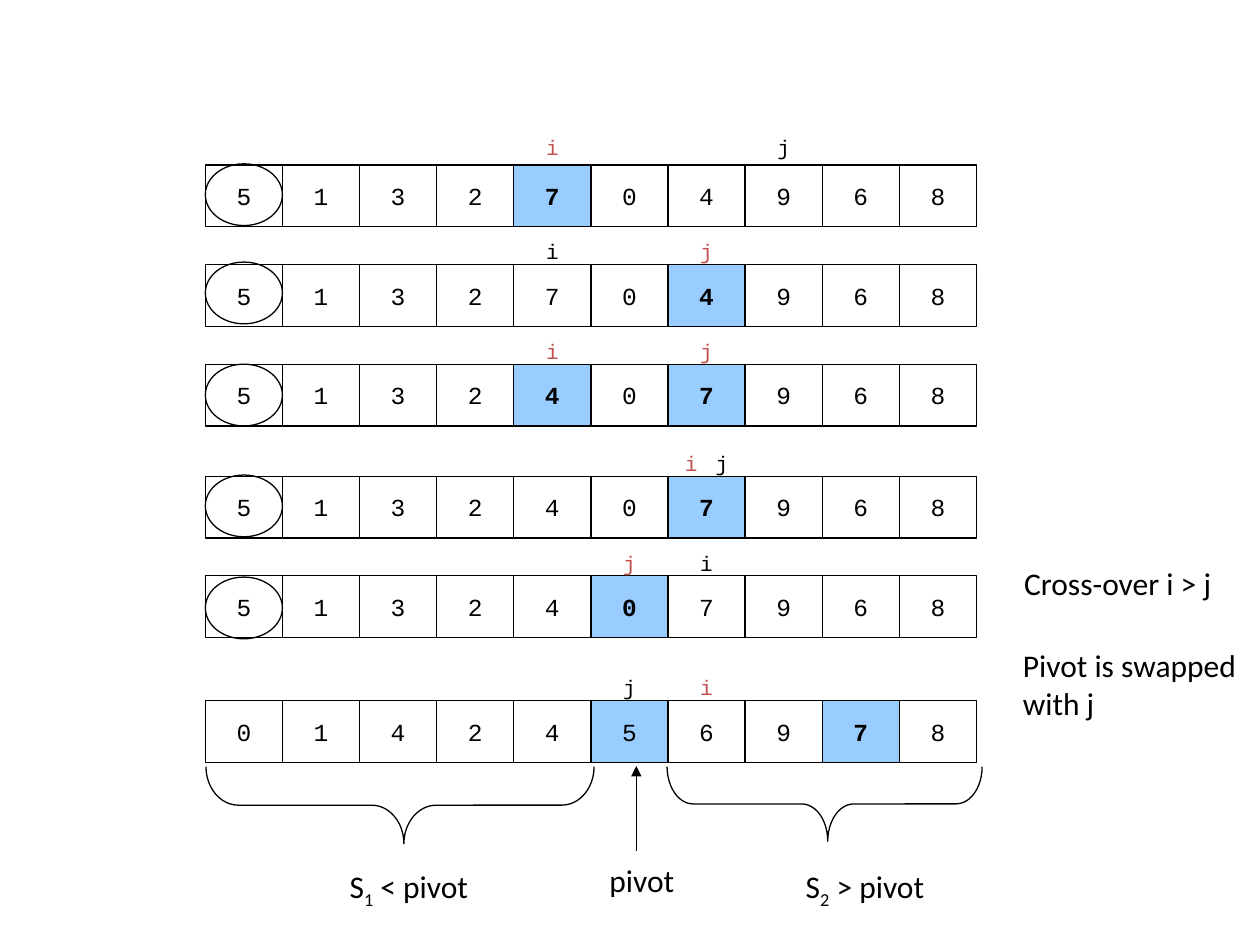
from dataclasses import dataclass

from lxml.etree import SubElement
from pptx import Presentation
from pptx.dml.color import RGBColor
from pptx.enum.shapes import MSO_CONNECTOR as Connector, MSO_SHAPE as Shape
from pptx.enum.text import MSO_ANCHOR as Anchor, MSO_AUTO_SIZE as AutoSize, PP_ALIGN as Align
from pptx.oxml.ns import qn
from pptx.util import Inches, Pt

BLACK, RED, BLUE = "000000", "C0504D", "99CCFF"
CODE_FONT, BODY_FONT = "Courier New", "Calibri"
ROW_LEFT, ROW_RIGHT, CELL_HEIGHT = 1.63, 7.75, 0.49
CELL_WIDTH = (ROW_RIGHT - ROW_LEFT) / 10


@dataclass
class Pointer:
    name: str
    column: float
    color: str = BLACK


@dataclass
class Step:
    top: float
    values: str
    pointers: list[Pointer]
    filled: tuple[int, ...]
    bold: tuple[int, ...]
    pointer_rise: float = 0.35
    circle_top: float | None = None


@dataclass
class Caption:
    left: float
    top: float
    width: float
    height: float
    texts: list[str]
    centered: bool = True


@dataclass
class Brace:
    left: float
    top: float
    width: float
    height: float
    curve: float


STEPS = [
    Step(1.31, "5132704968", [Pointer("i", 4, RED), Pointer("j", 7)], (4,), (4,), 0.39, 1.3),
    Step(2.1, "5132704968", [Pointer("i", 4), Pointer("j", 6, RED)], (6,), (6,), circle_top=2.08),
    Step(2.89, "5132407968", [Pointer("i", 4, RED), Pointer("j", 6, RED)], (4, 6), (4, 6),
         circle_top=2.89),
    Step(3.78, "5132407968", [Pointer("i", 5.8, RED), Pointer("j", 6.2)], (6,), (6,),
         circle_top=3.77),
    Step(4.57, "5132407968", [Pointer("i", 6), Pointer("j", 5, RED)], (5,), (5,),
         circle_top=4.58),
    Step(5.56, "0142456978", [Pointer("i", 6, RED), Pointer("j", 5)], (5, 8), (8,)),
]

# The second text of a caption, where there is one, is a subscript.
CAPTIONS = [
    Caption(8.03, 4.43, 2.25, 0.43, ["Cross-over i > j"], centered=False),
    Caption(8.02, 5.08, 2.25, 0.71, ["Pivot is swapped with j"], centered=False),
    Caption(2.61, 6.85, 1.27, 0.4, ["S", "1", " < pivot"]),
    Caption(4.73, 6.78, 0.73, 0.4, ["pivot"]),
    Caption(6.23, 6.85, 1.27, 0.4, ["S", "2", " > pivot"]),
]

BRACES = [Brace(2.87, 4.85, 0.61, 3.08, 0.42), Brace(6.25, 5.13, 0.59, 2.5, 0.35)]


def rgb(color: str) -> RGBColor:
    return RGBColor.from_string(color)


def add_span(para, text: str, size: float, font: str, color: str = BLACK, bold: bool = False):
    span = para.add_run()
    span.text = text
    span.font.size = Pt(size)
    span.font.name = font
    span.font.bold = bold
    span.font.color.rgb = rgb(color)
    return span


def add_outline(page, kind, left: float, top: float, width: float, height: float,
                fill: str | None = None):
    shape = page.shapes.add_shape(kind, Inches(left), Inches(top), Inches(width), Inches(height))
    shape.shadow.inherit = False
    if fill:
        shape.fill.solid()
        shape.fill.fore_color.rgb = rgb(fill)
    else:
        shape.fill.background()
    shape.line.color.rgb = rgb(BLACK)
    shape.line.width = Pt(0.75)
    return shape


def center_text(frame):
    """Centre the frame's text both ways without wrapping and return its paragraph."""
    frame.word_wrap = False
    frame.vertical_anchor = Anchor.MIDDLE
    para = frame.paragraphs[0]
    para.alignment = Align.CENTER
    return para


def add_step(page, step: Step) -> None:
    for column, value in enumerate(step.values):
        cell = add_outline(page, Shape.RECTANGLE, ROW_LEFT + column * CELL_WIDTH, step.top,
                           CELL_WIDTH, CELL_HEIGHT, BLUE if column in step.filled else None)
        add_span(center_text(cell.text_frame), value, 14, CODE_FONT, bold=column in step.bold)
    if step.circle_top is not None:
        add_outline(page, Shape.OVAL, ROW_LEFT, step.circle_top, CELL_WIDTH, CELL_HEIGHT)
    for pointer in step.pointers:
        box = page.shapes.add_textbox(
            Inches(ROW_LEFT + pointer.column * CELL_WIDTH), Inches(step.top - step.pointer_rise),
            Inches(CELL_WIDTH), Inches(CELL_HEIGHT))
        add_span(center_text(box.text_frame), pointer.name, 12, CODE_FONT, pointer.color)


def add_caption(page, caption: Caption) -> None:
    box = page.shapes.add_textbox(Inches(caption.left), Inches(caption.top),
                                  Inches(caption.width), Inches(caption.height))
    frame = box.text_frame
    frame.auto_size = AutoSize.SHAPE_TO_FIT_TEXT
    if caption.centered:
        para = center_text(frame)
    else:
        frame.word_wrap = True
        para = frame.paragraphs[0]
    for index, text in enumerate(caption.texts):
        span = add_span(para, text, 18, BODY_FONT)
        if index == 1:
            span.font._element.set("baseline", "-25000")


def add_brace(page, brace: Brace) -> None:
    shape = add_outline(page, Shape.LEFT_BRACE, brace.left, brace.top, brace.width, brace.height)
    shape.rotation = 270
    shape.adjustments[0] = brace.curve
    shape.adjustments[1] = 0.51


def add_pivot_arrow(page) -> None:
    arrow = page.shapes.add_connector(Connector.STRAIGHT, Inches(5.05), Inches(6.75),
                                      Inches(5.05), Inches(6.08))
    arrow.line.color.rgb = rgb(BLACK)
    arrow.line.width = Pt(0.75)
    SubElement(arrow.line._get_or_add_ln(), qn("a:tailEnd"), type="triangle")
    SubElement(arrow._element.spPr, qn("a:effectLst"))


def main() -> None:
    deck = Presentation()
    deck.slide_width, deck.slide_height = Inches(10), Inches(7.5)
    page = deck.slides.add_slide(deck.slide_layouts[6])
    for step in STEPS:
        add_step(page, step)
    for caption in CAPTIONS:
        add_caption(page, caption)
    for brace in BRACES:
        add_brace(page, brace)
    add_pivot_arrow(page)
    deck.save("out.pptx")


if __name__ == "__main__":
    main()
